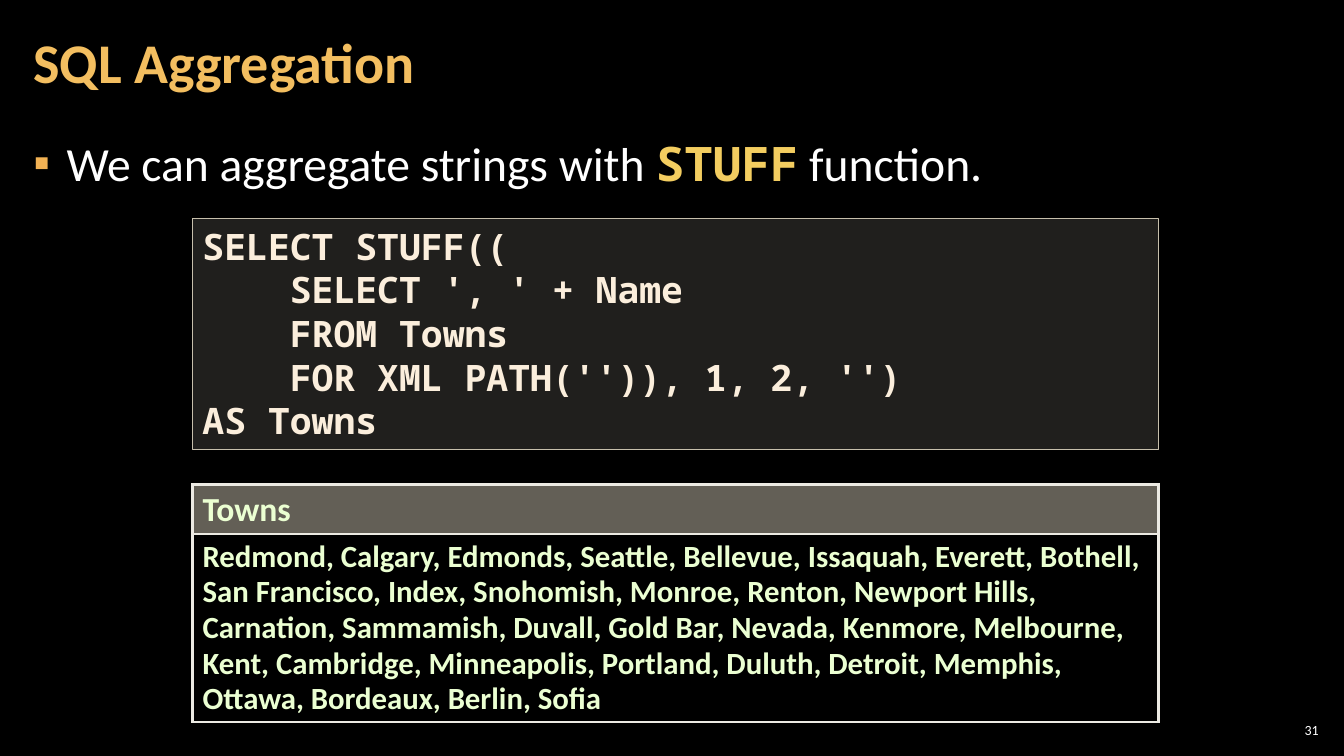
"""Build the SQL Aggregation slide with its code box and result table."""
from lxml.etree import SubElement
from pptx import Presentation
from pptx.dml.color import RGBColor
from pptx.enum.shapes import MSO_SHAPE
from pptx.enum.text import MSO_ANCHOR, PP_ALIGN
from pptx.oxml.ns import qn
from pptx.util import Inches, Pt

TITLE = "SQL Aggregation"
BULLET_RUNS = [
    ("We can aggregate strings with ", {}),
    ("STUFF", {"font": "Noto Sans Mono", "color": "F3CD60", "bold": True}),
    (" function.", {}),
]
CODE_LINES = [
    "SELECT STUFF((",
    "    SELECT ', ' + Name",
    "    FROM Towns",
    "    FOR XML PATH('')), 1, 2, '')",
    "AS Towns",
]
TOWNS = (
    "Redmond, Calgary, Edmonds, Seattle, Bellevue, Issaquah, Everett, Bothell, "
    "San Francisco, Index, Snohomish, Monroe, Renton, Newport Hills, Carnation, "
    "Sammamish, Duvall, Gold Bar, Nevada, Kenmore, Melbourne, Kent, Cambridge, "
    "Minneapolis, Portland, Duluth, Detroit, Memphis, Ottawa, Bordeaux, Berlin, Sofia"
)
TABLE_ROWS = [("Towns", 24, 0.48), (TOWNS, 22, 1.84)]
SLIDE_NUMBER = "31"
PANEL_LEFT, PANEL_WIDTH = 1.91, 9.58


def rgb(color):
    return RGBColor.from_string(color)


def add_text(paragraph, text, size=34, font="Calibri", color="FFFFFF", bold=False):
    run = paragraph.add_run()
    run.text = text
    run.font.size = Pt(size)
    run.font.name = font
    run.font.color.rgb = rgb(color)
    run.font.bold = bold


def place(shape, left, top, width, height):
    shape.left, shape.top = Inches(left), Inches(top)
    shape.width, shape.height = Inches(width), Inches(height)


def set_margins(frame, side, end=0.04):
    frame.margin_left = frame.margin_right = Inches(side)
    frame.margin_top = frame.margin_bottom = Inches(end)
    frame.word_wrap = True


def fill_solid(fill, color, opacity):
    fill.solid()
    fill.fore_color.rgb = rgb(color)
    color_element = fill._xPr.find(qn("a:solidFill"))[0]
    SubElement(color_element, qn("a:alpha"), val=str(opacity * 1000))


def add_bullet(paragraph, character, color, indent):
    properties = paragraph._p.get_or_add_pPr()
    properties.set("marL", str(Inches(indent)))
    properties.set("indent", str(-Inches(indent)))
    bullet_color = SubElement(properties, qn("a:buClr"))
    SubElement(bullet_color, qn("a:srgbClr"), val=color)
    SubElement(properties, qn("a:buChar"), char=character)


def add_borders(cell, color, width):
    properties = cell._tc.get_or_add_tcPr()
    for side in ("lnL", "lnR", "lnT", "lnB"):
        line = SubElement(properties, qn(f"a:{side}"), w=str(Pt(width)))
        SubElement(SubElement(line, qn("a:solidFill")), qn("a:srgbClr"), val=color)


def add_heading(slide):
    title = slide.shapes.title
    place(title, 0.21, 0.04, 10.47, 1.21)
    set_margins(title.text_frame, 0.12)
    title.text_frame.vertical_anchor = MSO_ANCHOR.MIDDLE
    paragraph = title.text_frame.paragraphs[0]
    paragraph.alignment = PP_ALIGN.LEFT
    paragraph.line_spacing = 0.9
    add_text(paragraph, TITLE, size=40, color="F3BE60", bold=True)


def add_body(slide):
    body = slide.placeholders[1]
    place(body, 0.21, 1.26, 12.91, 6.09)
    set_margins(body.text_frame, 0.12)
    paragraph = body.text_frame.paragraphs[0]
    add_bullet(paragraph, "▪", "F2B254", 0.33)
    paragraph.line_spacing = 1.05
    paragraph.space_before = Pt(0)
    paragraph.space_after = Pt(6)
    for text, text_format in BULLET_RUNS:
        add_text(paragraph, text, **text_format)


def add_code_box(slide):
    box = slide.shapes.add_shape(
        MSO_SHAPE.RECTANGLE, Inches(PANEL_LEFT), Inches(2.17), Inches(PANEL_WIDTH), Inches(2.29)
    )
    box.shadow.inherit = False
    fill_solid(box.fill, "D9D5C7", 15)
    box.line.color.rgb = rgb("C7BFAC")
    box.line.width = Pt(1)
    frame = box.text_frame
    set_margins(frame, 0.1, 0.05)
    frame.vertical_anchor = MSO_ANCHOR.TOP
    for index, code in enumerate(CODE_LINES):
        paragraph = frame.add_paragraph() if index else frame.paragraphs[0]
        paragraph.alignment = PP_ALIGN.LEFT
        add_text(paragraph, code, size=26, font="Noto Sans Mono", color="FBEEDC", bold=True)


def add_result_table(slide):
    height = sum(row_height for _, _, row_height in TABLE_ROWS)
    table = slide.shapes.add_table(
        len(TABLE_ROWS), 1, Inches(PANEL_LEFT), Inches(4.81), Inches(PANEL_WIDTH), Inches(height)
    ).table
    for index, (text, size, row_height) in enumerate(TABLE_ROWS):
        table.rows[index].height = Inches(row_height)
        cell = table.cell(index, 0)
        add_borders(cell, "ECEAE3", 2.25)
        if index == 0:
            fill_solid(cell.fill, "C7BFAC", 50)
        else:
            cell.fill.background()
        paragraph = cell.text_frame.paragraphs[0]
        paragraph.line_spacing = 0.95
        add_text(paragraph, text, size=size, color="EBFFD2", bold=True)


def add_slide_number(slide):
    box = slide.shapes.add_textbox(Inches(12.65), Inches(7.14), Inches(0.47), Inches(0.21))
    set_margins(box.text_frame, 0.04)
    box.text_frame.vertical_anchor = MSO_ANCHOR.MIDDLE
    paragraph = box.text_frame.paragraphs[0]
    paragraph.alignment = PP_ALIGN.RIGHT
    add_text(paragraph, SLIDE_NUMBER, size=10)


def main():
    presentation = Presentation()
    presentation.slide_width = Inches(13.33)
    presentation.slide_height = Inches(7.5)
    slide = presentation.slides.add_slide(presentation.slide_layouts[1])
    slide.background.fill.solid()
    slide.background.fill.fore_color.rgb = rgb("000000")
    add_heading(slide)
    add_body(slide)
    add_code_box(slide)
    add_result_table(slide)
    add_slide_number(slide)
    presentation.save("out.pptx")


if __name__ == "__main__":
    main()
